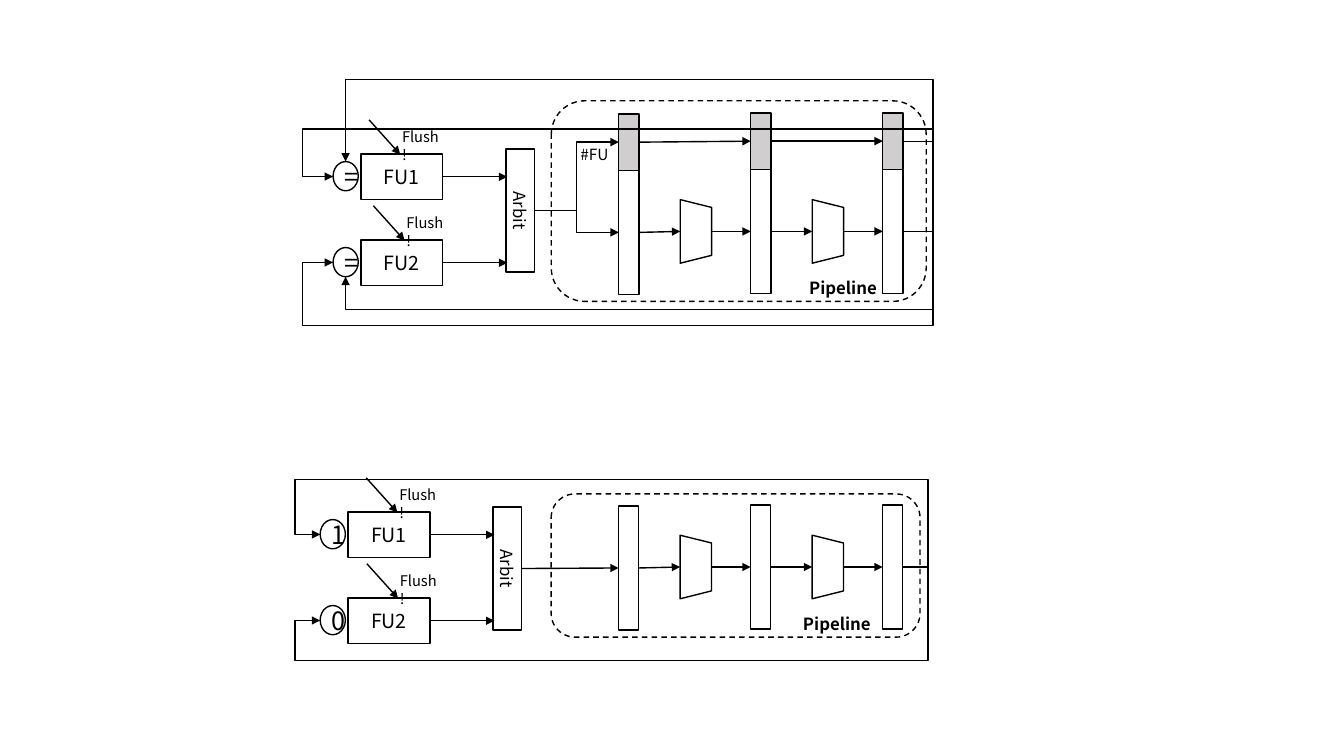
"""Build a slide comparing two ways of returning pipeline results to functional units."""
from lxml.etree import SubElement
from pptx import Presentation
from pptx.dml.color import RGBColor
from pptx.enum.dml import MSO_LINE
from pptx.enum.shapes import MSO_CONNECTOR, MSO_SHAPE
from pptx.enum.text import MSO_ANCHOR, MSO_AUTO_SIZE, PP_ALIGN
from pptx.oxml.ns import qn
from pptx.util import Pt

BLACK = RGBColor(0, 0, 0)
WHITE = RGBColor(255, 255, 255)
GREY = RGBColor(0xD0, 0xCE, 0xCE)
FONT = "Noto Sans CJK SC"

LATCH_WIDTH, LATCH_HEIGHT, TAG_HEIGHT, STAGE_STEP = 14.4, 88.6, 40.3, 94.3
MUX_LENGTH, MUX_DEPTH, MUX_GAP = 45.4, 22.4, 29.5
UNIT_WIDTH, UNIT_HEIGHT, UNIT_STEP = 58.5, 32.4, 61.4
ARBITER_LENGTH, ARBITER_DEPTH = 88, 20.2


def style_text(shape, text, size, bold=False):
    """Write one paragraph in the slide's font and return it."""
    para = shape.text_frame.paragraphs[0]
    para.text = text
    para.font.name = FONT
    para.font.size = Pt(size)
    para.font.bold = bold
    para.font.color.rgb = BLACK
    return para


def add_box(page, kind, left, top, width, height, text="", size=14, fill=WHITE):
    """Add an outlined preset shape with optional centred text."""
    shape = page.shapes.add_shape(kind, Pt(left), Pt(top), Pt(width), Pt(height))
    shape.shadow.inherit = False
    shape.fill.solid()
    shape.fill.fore_color.rgb = fill
    shape.line.color.rgb = BLACK
    shape.line.width = Pt(1)
    if text:
        shape.text_frame.vertical_anchor = MSO_ANCHOR.MIDDLE
        style_text(shape, text, size).alignment = PP_ALIGN.CENTER
    return shape


def add_label(page, left, top, width, height, text, size, bold=False, wrap=True):
    """Add a free-standing label."""
    label = page.shapes.add_textbox(Pt(left), Pt(top), Pt(width), Pt(height))
    label.text_frame.word_wrap = wrap
    label.text_frame.auto_size = MSO_AUTO_SIZE.SHAPE_TO_FIT_TEXT
    style_text(label, text, size, bold)


def add_arrow(page, start, end, source=None, target=None, kind=MSO_CONNECTOR.STRAIGHT):
    """Add an arrow, joined to the right of source and the left of target if given."""
    arrow = page.shapes.add_connector(kind, *(Pt(value) for value in (*start, *end)))
    if source is not None:
        arrow.begin_connect(source, 3)
    if target is not None:
        arrow.end_connect(target, 1)
    arrow.line.color.rgb = BLACK
    arrow.line.width = Pt(1)
    properties = arrow._element.spPr
    SubElement(properties.get_or_add_ln(), qn("a:tailEnd"), type="triangle")
    SubElement(properties, qn("a:effectLst"))
    return arrow


def add_feedback(page, start, end, rail, out, sideways):
    """Route an arrow back along a rail, entering its end sideways or vertically."""
    arrow = add_arrow(page, start, end, kind=MSO_CONNECTOR.ELBOW)
    reach = out / (start[0] - end[0])
    ratios = [-reach, (rail - start[1]) / (end[1] - start[1])]
    if sideways:
        ratios.append(1 + reach)
    geometry = arrow._element.spPr.find(qn("a:prstGeom"))
    geometry.set("prst", f"bentConnector{len(ratios) + 2}")
    guides = geometry.find(qn("a:avLst"))
    for number, ratio in enumerate(ratios, 1):
        SubElement(guides, qn("a:gd"), name=f"adj{number}", fmla=f"val {round(ratio * 100000)}")


def add_pipeline(page, left, top, width, height, latch_top, tagged):
    """Draw the dashed pipeline frame with three latches and two stages of logic."""
    frame = add_box(page, MSO_SHAPE.ROUNDED_RECTANGLE, left, top, width, height)
    frame.line.dash_style = MSO_LINE.DASH
    middle = latch_top + LATCH_HEIGHT / 2
    latches, tags = [], []
    for stage in range(3):
        latch_left = left + 48.2 + stage * STAGE_STEP
        drop = 0.7 if stage == 0 else 0
        latches.append(add_box(page, MSO_SHAPE.RECTANGLE, latch_left, latch_top + drop,
                               LATCH_WIDTH, LATCH_HEIGHT))
        if tagged:
            tags.append(add_box(page, MSO_SHAPE.RECTANGLE, latch_left, latch_top + drop - TAG_HEIGHT,
                                LATCH_WIDTH, TAG_HEIGHT, fill=GREY))
    for stage, (source, target) in enumerate(zip(latches, latches[1:])):
        mux_left = left + 48.2 + stage * STAGE_STEP + LATCH_WIDTH + MUX_GAP
        mux = add_box(page, MSO_SHAPE.TRAPEZOID, mux_left + (MUX_DEPTH - MUX_LENGTH) / 2,
                      middle - MUX_DEPTH / 2, MUX_LENGTH, MUX_DEPTH)
        mux.rotation = 90
        add_arrow(page, (mux_left - MUX_GAP, middle), (mux_left, middle), source=source)
        add_arrow(page, (mux_left + MUX_DEPTH, middle), (mux_left + MUX_DEPTH + 28, middle),
                  target=target)
    for source, target in zip(tags, tags[1:]):
        add_arrow(page, (0, 0), (0, 0), source, target)
    if tagged:
        add_label(page, left + 13.7, top + 28.1, 41, 26.6, "#FU", 11, wrap=False)
    add_label(page, left + width - 90.7, top + height - 20.2, 91.4, 21.6, "Pipeline", 12, bold=True)
    return latches[0]


def add_units(page, left, top, marks, flush_offsets):
    """Draw two functional units with match circles, flush inputs and the arbiter."""
    centre = left + 113.7, top + 40.3
    arbiter = add_box(page, MSO_SHAPE.RECTANGLE, centre[0] - ARBITER_LENGTH / 2,
                      centre[1] - ARBITER_DEPTH / 2, ARBITER_LENGTH, ARBITER_DEPTH, "Arbit", 12)
    arbiter.rotation = 90
    for number, (mark, offset) in enumerate(zip(marks, flush_offsets)):
        unit_top = top + number * UNIT_STEP
        unit = add_box(page, MSO_SHAPE.RECTANGLE, left, unit_top, UNIT_WIDTH, UNIT_HEIGHT,
                       f"FU{number + 1}")
        add_arrow(page, (left + UNIT_WIDTH, unit_top + 16.2), (left + 104.6, unit_top + 16.2),
                  source=unit)
        add_box(page, MSO_SHAPE.OVAL, left - 19.9, unit_top + 5.3, 18, 20.9, mark, 18)
        flush_left = left + offset
        add_arrow(page, (flush_left, unit_top - 24.5), (flush_left + 22.3, unit_top + 0.3))
        add_label(page, flush_left + 16.5, unit_top - 22.3, 42.5, 21, "Flush!", 10.5)
    return centre[0] + ARBITER_DEPTH / 2, centre[1]


def add_tagged_design(page, left, top):
    """Draw the design that carries the unit number through the pipeline."""
    latch_top = top + 64.1
    add_pipeline(page, left + 177.1, top + 15.1, 267.8, 143.3, latch_top, True)
    units = left + 41.1, top + 53.2
    issue = add_units(page, *units, "==", (5.8, 8.9))
    tag_middle = latch_top - TAG_HEIGHT / 2
    data_middle = latch_top + LATCH_HEIGHT / 2
    for height in (data_middle, tag_middle):
        add_arrow(page, issue, (left + 225.3, height + 0.7), kind=MSO_CONNECTOR.ELBOW)
    exit_left = left + 225.3 + 2 * STAGE_STEP + LATCH_WIDTH
    circle_left, circle_top = units[0] - 19.9, units[1] + 5.3
    for number, rail in enumerate((top + 35.3, top + 175.7)):
        entry = circle_left, units[1] + 16 + number * UNIT_STEP
        add_feedback(page, (exit_left, data_middle), entry, rail, 21.4, True)
    for height, rail in ((circle_top, top), (circle_top + UNIT_STEP + 20.9, top + 164.2)):
        add_feedback(page, (exit_left, tag_middle), (circle_left + 9, height), rail, 21.4, False)


def add_fixed_design(page, left, top):
    """Draw the design that returns results without a unit number."""
    latch_top = top + 18
    entry_latch = add_pipeline(page, left + 182.7, top + 10.1, 263.5, 102.3, latch_top, False)
    units = left + 37.6, top + 23.1
    issue = add_units(page, *units, "10", (13, 13.5))
    add_arrow(page, issue, (left + 230.9, issue[1]), target=entry_latch)
    exit_left = left + 230.9 + 2 * STAGE_STEP + LATCH_WIDTH
    for number, rail in enumerate((top, top + 128.9)):
        entry = units[0] - 19.9, units[1] + 16 + number * UNIT_STEP
        add_feedback(page, (exit_left, latch_top + LATCH_HEIGHT / 2), entry, rail, 17.8, True)


def main():
    """Build and save the slide."""
    deck = Presentation()
    deck.slide_width, deck.slide_height = Pt(960), Pt(540)
    page = deck.slides.add_slide(deck.slide_layouts[6])
    add_tagged_design(page, 216.7, 56.9)
    add_fixed_design(page, 211, 342.7)
    deck.save("out.pptx")


if __name__ == "__main__":
    main()
